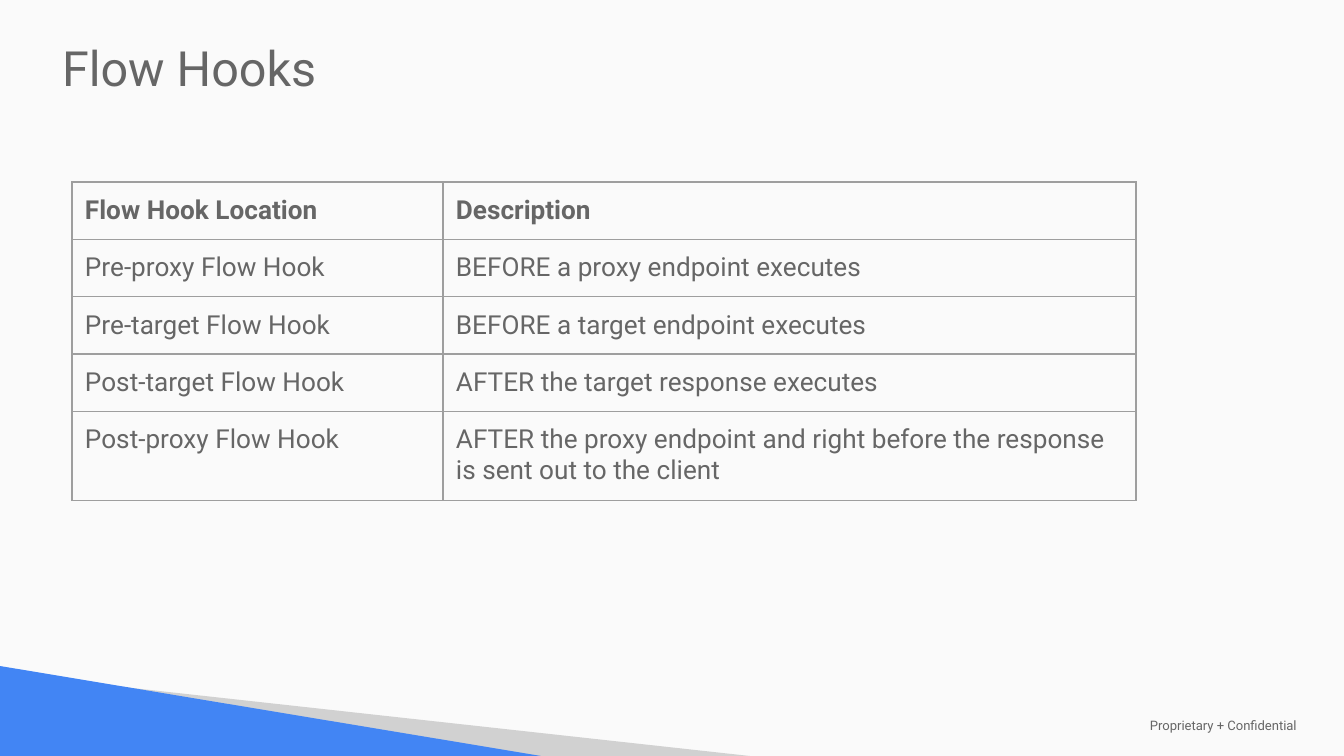
from lxml.etree import SubElement
from pptx import Presentation
from pptx.dml.color import RGBColor
from pptx.enum.text import MSO_ANCHOR, PP_ALIGN
from pptx.oxml.ns import qn
from pptx.util import Emu, Pt

PX = 9144000 / 1344
FONT, TEXT, BORDER = "Roboto", "666666", "9E9E9E"

TITLE = "Flow Hooks"
FOOTER = "Proprietary + Confidential"
ROWS = [
    ("Flow Hook Location", "Description"),
    ("Pre-proxy Flow Hook", "BEFORE a proxy endpoint executes"),
    ("Pre-target Flow Hook", "BEFORE a target endpoint executes"),
    ("Post-target Flow Hook", "AFTER the target response executes"),
    ("Post-proxy Flow Hook",
     "AFTER the proxy endpoint and right before the response is sent out to the client"),
]
COLUMN_WIDTHS = [371, 693]
ROW_HEIGHTS = [57, 57, 57, 57, 88]
WEDGES = [
    ("D1D1D1", [(114, 686), (750, 756), (539, 756)]),
    ("4285F4", [(0, 666), (0, 756), (541, 756)]),
]


def px(length):
    return Emu(round(length * PX))


def color(value):
    return RGBColor.from_string(value)


def write(frame, text, size, bold=False):
    frame.text = text
    frame.word_wrap = True
    paragraph = frame.paragraphs[0]
    paragraph.alignment = PP_ALIGN.LEFT
    for span in paragraph.runs:
        span.font.name = FONT
        span.font.size = Pt(size)
        span.font.bold = bold
        span.font.color.rgb = color(TEXT)


def set_insets(target, horizontal, vertical):
    target.margin_left = target.margin_right = px(horizontal)
    target.margin_top = target.margin_bottom = px(vertical)


def add_borders(cell):
    properties = cell._tc.get_or_add_tcPr()
    for side in ("lnL", "lnR", "lnT", "lnB"):
        line = SubElement(properties, qn(f"a:{side}"), w=str(Pt(0.75)))
        fill = SubElement(line, qn("a:solidFill"))
        SubElement(fill, qn("a:srgbClr"), val=BORDER)


deck = Presentation()
deck.slide_width, deck.slide_height = px(1344), px(756)
page = deck.slides.add_slide(deck.slide_layouts[5])
page.background.fill.solid()
page.background.fill.fore_color.rgb = color("FAFAFA")

for fill_color, points in WEDGES:
    builder = page.shapes.build_freeform(*points[0], scale=PX)
    builder.add_line_segments(points[1:], close=True)
    wedge = builder.convert_to_shape()
    wedge.shadow.inherit = False
    wedge.fill.solid()
    wedge.fill.fore_color.rgb = color(fill_color)
    wedge.line.fill.background()

footer = page.shapes.add_textbox(px(1137), px(716), px(200), px(19))
write(footer.text_frame, FOOTER, 7)
set_insets(footer.text_frame, 13, 13)
footer.text_frame.vertical_anchor = MSO_ANCHOR.MIDDLE

title = page.shapes.title
title.left, title.top, title.width, title.height = px(52), px(30), px(1146), px(74)
write(title.text_frame, TITLE, 26)
set_insets(title.text_frame, 10, 5)
title.text_frame.vertical_anchor = MSO_ANCHOR.MIDDLE

table = page.shapes.add_table(
    len(ROWS), len(COLUMN_WIDTHS), px(72), px(182),
    px(sum(COLUMN_WIDTHS)), px(sum(ROW_HEIGHTS))).table
for column, width in zip(table.columns, COLUMN_WIDTHS):
    column.width = px(width)
for index, (row, height, texts) in enumerate(zip(table.rows, ROW_HEIGHTS, ROWS)):
    row.height = px(height)
    for cell, text in zip(row.cells, texts):
        add_borders(cell)
        cell.fill.background()
        set_insets(cell, 13, 13)
        write(cell.text_frame, text, 14, bold=index == 0)

deck.save("out.pptx")
